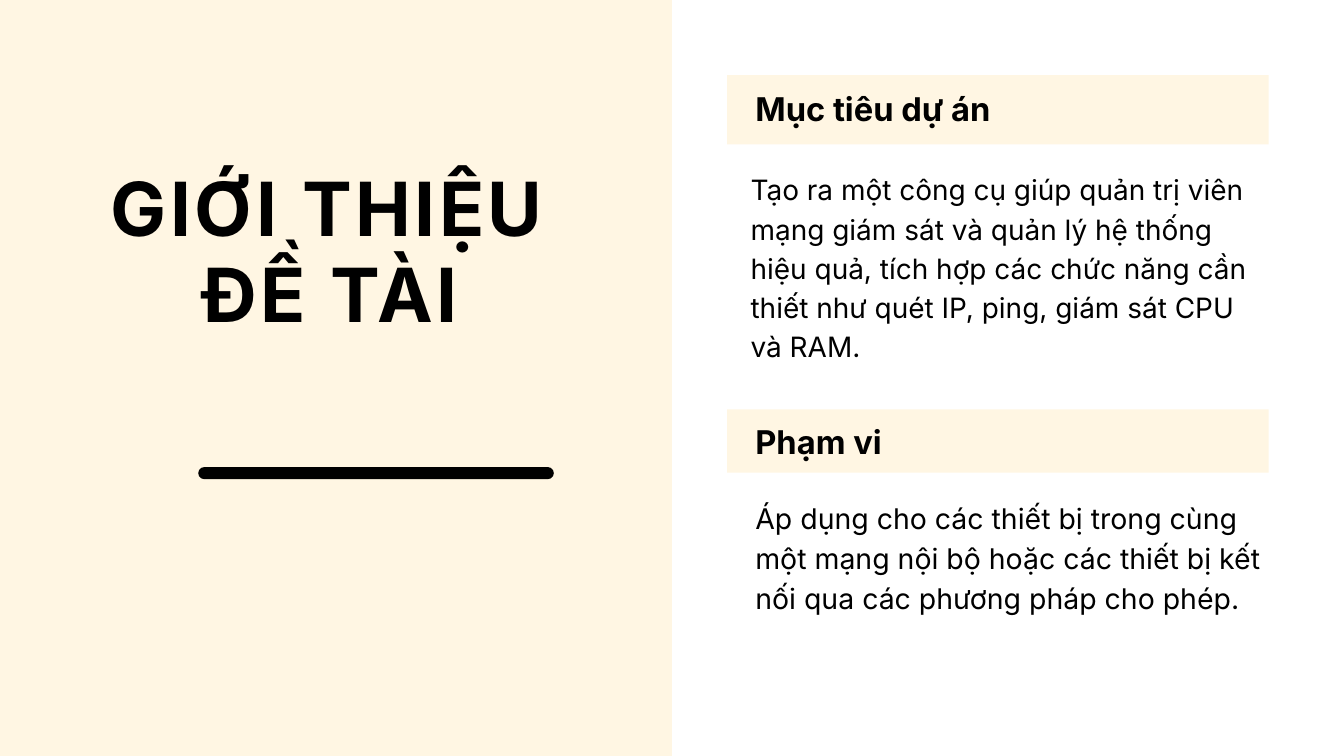
"""Build the project introduction slide with a title panel and two headed sections."""
from pptx import Presentation
from pptx.dml.color import RGBColor
from pptx.enum import shapes, text
from pptx.util import Pt

FONT, CREAM, BLACK = "Inter", "FFF6E3", "000000"
TITLE = "GIỚI THIỆU ĐỀ TÀI"
SECTIONS = [
    {"heading": "Mục tiêu dự án", "bar": (80.6, 74.2), "heading_top": 88.5,
     "body": "Tạo ra một công cụ giúp quản trị viên mạng giám sát và quản lý hệ thống "
             "hiệu quả, tích hợp các chức năng cần thiết như quét IP, ping, giám sát CPU và RAM.",
     "body_at": (804.2, 179.3, 555, 204.5), "size": 30, "leading": 42},
    {"heading": "Phạm vi", "bar": (438.5, 68), "heading_top": 445,
     "body": "Áp dụng cho các thiết bị trong cùng một mạng nội bộ hoặc các thiết bị kết "
             "nối qua các phương pháp cho phép.",
     "body_at": (809.3, 530.6, 550, 169.2), "size": 30.5, "leading": 42.8},
]
BAR_LEFT, BAR_WIDTH, HEADING_LEFT = 779, 580.3, 809.3


def colour(value):
    return RGBColor.from_string(value)


def add_block(page, kind, area, fill):
    block = page.shapes.add_shape(kind, *map(Pt, area))
    block.shadow.inherit = False
    block.fill.solid()
    block.fill.fore_color.rgb = colour(fill)
    block.line.fill.background()
    return block


def set_text(box, wording, area, size, leading, bold=False, align=text.PP_ALIGN.LEFT):
    box.left, box.top, box.width, box.height = map(Pt, area)
    frame = box.text_frame
    frame.text = wording
    frame.word_wrap = True
    frame.auto_size = text.MSO_AUTO_SIZE.NONE
    frame.vertical_anchor = text.MSO_ANCHOR.TOP
    frame.margin_left = frame.margin_top = frame.margin_right = frame.margin_bottom = 0
    para = frame.paragraphs[0]
    para.alignment = align
    para.line_spacing = Pt(leading)
    para.space_before = Pt(0)
    span = para.runs[0]
    span.font.name, span.font.size, span.font.bold = FONT, Pt(size), bold
    span.font.color.rgb = colour(BLACK)
    return span


def add_text(page, *args, **style):
    set_text(page.shapes.add_textbox(0, 0, 0, 0), *args, **style)


def main():
    deck = Presentation()
    deck.slide_width, deck.slide_height = Pt(1440), Pt(810)
    page = deck.slides.add_slide(deck.slide_layouts[5])
    rectangle = shapes.MSO_SHAPE.RECTANGLE

    add_block(page, rectangle, (0, 0, 720, 810), CREAM)
    rule = add_block(page, shapes.MSO_SHAPE.ROUNDED_RECTANGLE, (212.4, 500.4, 381, 13), BLACK)
    rule.adjustments[0] = 0.5

    title = page.shapes.title
    span = set_text(title, TITLE, (58.3, 176.4, 588.2, 186.5), 80, 92.8,
                    bold=True, align=text.PP_ALIGN.CENTER)
    span._r.get_or_add_rPr().set("spc", "380")
    title._element.getparent().append(title._element)

    for section in SECTIONS:
        top, height = section["bar"]
        add_block(page, rectangle, (BAR_LEFT, top, BAR_WIDTH, height), CREAM)
        add_text(page, section["heading"], (HEADING_LEFT, section["heading_top"], 392, 46),
                 35, 49, bold=True)
        add_text(page, section["body"], section["body_at"], section["size"], section["leading"])

    deck.save("out.pptx")


if __name__ == "__main__":
    main()
